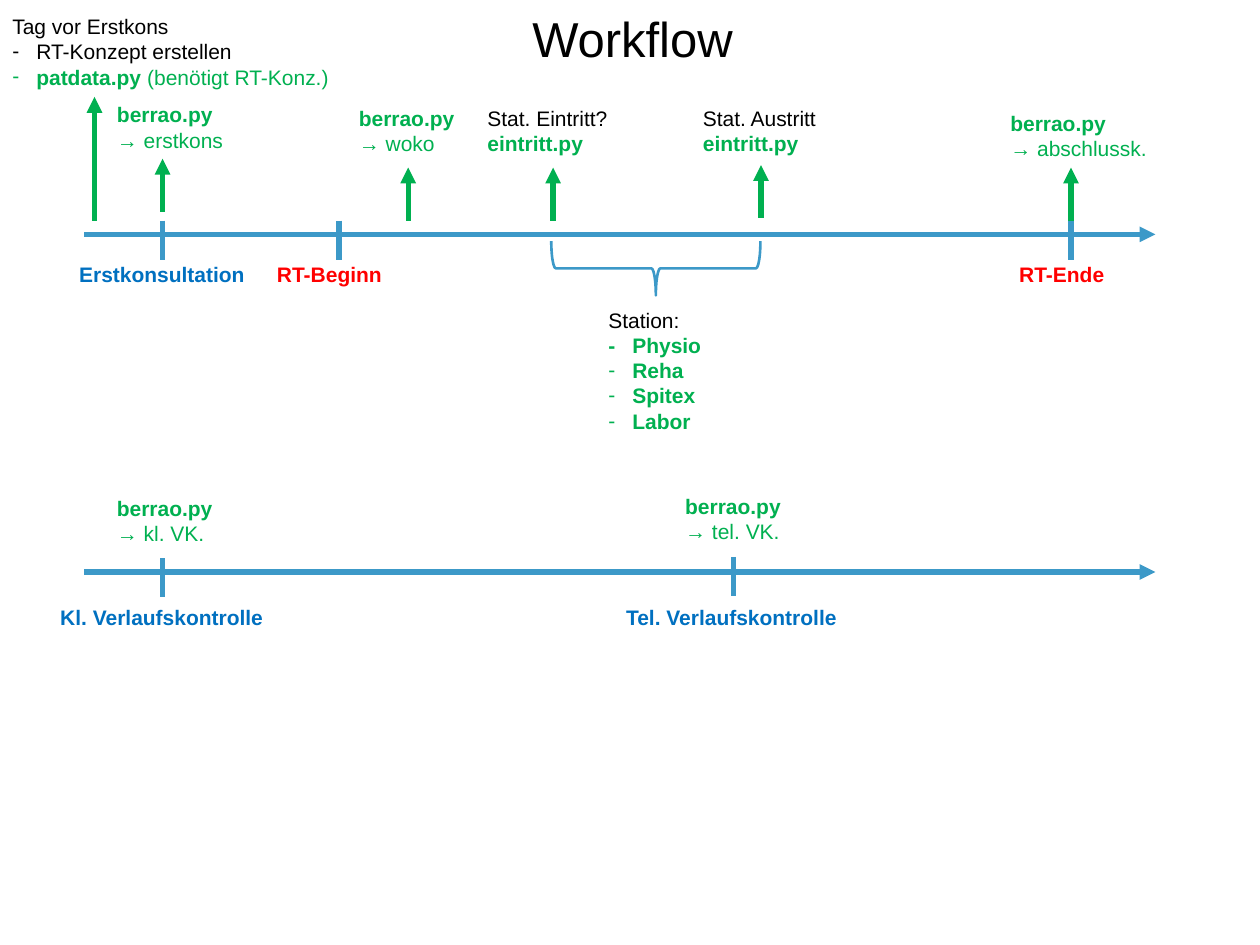
from lxml import etree
from pptx import Presentation
from pptx import util as u
from pptx.dml.color import RGBColor
from pptx.enum import shapes, text
from pptx.oxml import ns

BLACK, GREEN, RED = "000000", "00B050", "FF0000"
AXIS_BLUE, LABEL_BLUE = "3C99C8", "0070C0"


def color(value):
    return RGBColor.from_string(value)


def add_xml(parent, tag, **attributes):
    return etree.SubElement(parent, ns.qn(tag), attributes)


class WorkflowPage:
    font = "Arial"
    size = 12
    indent = 0.19

    def __init__(self, page):
        self.page = page

    def span(self, para, words, value, bold=False, size=None):
        span = para.add_run()
        span.text = words
        span.font.name = self.font
        span.font.size = u.Pt(size or self.size)
        span.font.bold = bold
        span.font.color.rgb = color(value)

    def title(self, words, left, top, width, height):
        box = self.page.shapes.title
        box.left, box.top = u.Inches(left), u.Inches(top)
        box.width, box.height = u.Inches(width), u.Inches(height)
        frame = box.text_frame
        frame.auto_size = text.MSO_AUTO_SIZE.NONE
        frame.vertical_anchor = text.MSO_ANCHOR.MIDDLE
        para = frame.paragraphs[0]
        para.alignment = text.PP_ALIGN.CENTER
        self.span(para, words, BLACK, size=28)

    def hang(self, para, bullet):
        properties = para._p.get_or_add_pPr()
        properties.set("marL", str(u.Inches(self.indent)))
        properties.set("indent", str(-u.Inches(self.indent)))
        if bullet:
            add_xml(properties, "a:buFont", typeface=self.font)
            add_xml(properties, "a:buChar", char="-")

    def label(self, left, top, width, height, *lines):
        box = self.page.shapes.add_textbox(
            u.Inches(left), u.Inches(top), u.Inches(width), u.Inches(height))
        frame = box.text_frame
        frame.word_wrap = False
        frame.auto_size = text.MSO_AUTO_SIZE.SHAPE_TO_FIT_TEXT
        for index, (style, *spans) in enumerate(lines):
            para = frame.add_paragraph() if index else frame.paragraphs[0]
            if style != "plain":
                self.hang(para, style == "bullet")
            for words, value, bold in spans:
                self.span(para, words, value, bold)

    def milestone(self, left, top, width, words, value):
        self.label(left, top, width, 0.3, ("plain", (words, value, True)))

    def script_call(self, left, top, width, step):
        self.label(left, top, width, 0.5,
                   ("plain", ("berrao.py", GREEN, True)),
                   ("plain", (f"→ {step}", GREEN, False)))

    def ward_call(self, left, top, width, event):
        self.label(left, top, width, 0.5,
                   ("plain", (event, BLACK, False)),
                   ("plain", ("eintritt.py", GREEN, True)))

    def line(self, x1, y1, x2, y2, value, arrow=False):
        line = self.page.shapes.add_connector(
            shapes.MSO_CONNECTOR.STRAIGHT,
            u.Inches(x1), u.Inches(y1), u.Inches(x2), u.Inches(y2))
        line.line.color.rgb = color(value)
        line.line.width = u.Pt(3)
        if arrow:
            add_xml(line.line._get_or_add_ln(), "a:tailEnd", type="triangle")
        add_xml(line._element.spPr, "a:effectLst")

    def timeline(self, y, ticks):
        self.line(0.67, y, 9.17, y, AXIS_BLUE, arrow=True)
        for x, top in ticks:
            self.line(x, top, x, top + 0.31, AXIS_BLUE)

    def brace(self, left, top, width, height):
        brace = self.page.shapes.add_shape(
            shapes.MSO_SHAPE.RIGHT_BRACE,
            u.Inches(left), u.Inches(top), u.Inches(width), u.Inches(height))
        brace.rotation = 90
        brace.shadow.inherit = False
        brace.fill.background()
        brace.line.color.rgb = color(AXIS_BLUE)
        brace.line.width = u.Pt(1.5)


def main():
    deck = Presentation()
    deck.slide_width, deck.slide_height = u.Inches(10), u.Inches(7.5)
    flow = WorkflowPage(deck.slides.add_slide(deck.slide_layouts[5]))
    flow.title("Workflow", 0.77, -0.5, 8.5, 1.61)

    flow.timeline(1.86, [(1.29, 1.75), (2.69, 1.75), (8.5, 1.75)])
    flow.timeline(4.54, [(1.29, 4.43), (5.82, 4.42)])

    for x, start, end in [(0.75, 1.75, 0.77), (1.29, 1.68, 1.26),
                          (3.24, 1.75, 1.33), (4.39, 1.75, 1.33),
                          (6.04, 1.73, 1.31), (8.5, 1.75, 1.33)]:
        flow.line(x, start, x, end, GREEN, arrow=True)

    for milestone in [(0.53, 2.03, 1.53, "Erstkonsultation", LABEL_BLUE),
                      (2.1, 2.03, 1.04, "RT-Beginn", RED),
                      (7.99, 2.03, 0.89, "RT-Ende", RED),
                      (0.38, 4.75, 1.83, "Kl. Verlaufskontrolle", LABEL_BLUE),
                      (4.87, 4.75, 1.89, "Tel. Verlaufskontrolle", LABEL_BLUE)]:
        flow.milestone(*milestone)

    for call in [(0.83, 0.76, 1.05, "erstkons"), (2.75, 0.79, 0.97, "woko"),
                 (7.92, 0.83, 1.29, "abschlussk."),
                 (0.83, 3.88, 0.97, "kl. VK."), (5.34, 3.87, 0.97, "tel. VK.")]:
        flow.script_call(*call)

    flow.ward_call(3.77, 0.79, 1.18, "Stat. Eintritt?")
    flow.ward_call(5.48, 0.79, 1.11, "Stat. Austritt")

    flow.label(0, 0.06, 2.73, 0.71,
               ("plain", ("Tag vor Erstkons", BLACK, False)),
               ("bullet", ("RT-Konzept erstellen", BLACK, False)),
               ("bullet", ("patdata.py ", GREEN, True),
                ("(benötigt RT-Konz.)", GREEN, False)))

    flow.brace(4.99, 1.3, 0.43, 1.66)
    flow.label(4.73, 2.39, 0.95, 1.31,
               ("plain", ("Station:", BLACK, False)),
               ("hanging", ("-\tPhysio", GREEN, True)),
               *[("bullet", (service, GREEN, True))
                 for service in ("Reha", "Spitex", "Labor")])

    deck.save("out.pptx")


if __name__ == "__main__":
    main()
